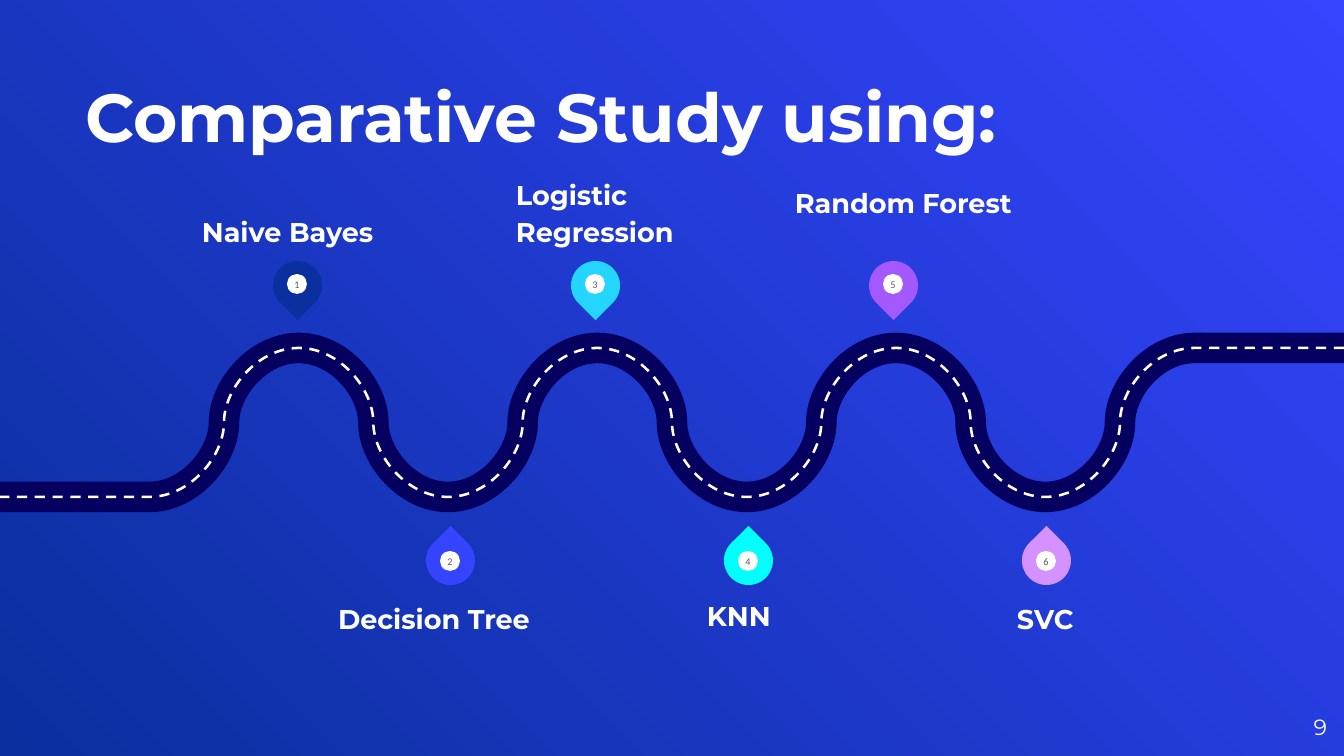
from dataclasses import dataclass

from pptx import Presentation
from pptx.dml.color import RGBColor
from pptx.enum.dml import MSO_LINE
from pptx.enum.shapes import MSO_SHAPE
from pptx.enum.text import MSO_ANCHOR, MSO_AUTO_SIZE, PP_ALIGN
from pptx.oxml.ns import qn
from pptx.shapes.autoshape import Shape
from pptx.slide import Slide
from pptx.text.text import TextFrame
from pptx.util import Emu, Pt

EMU_PER_PX = 7495
SLIDE_WIDTH, SLIDE_HEIGHT = 1344, 756
ROAD_TOP, ROAD_BOTTOM = 348, 497
ROAD_SECTIONS = 9
ARC_HANDLE = 0.55
PIN_SIZE, DOT_SIZE = 49, 20


@dataclass(frozen=True)
class Theme:
    heading_font: str = "Montserrat"
    number_font: str = "Calibri"
    title_size: float = 40
    label_size: float = 16
    page_size: float = 13
    number_size: float = 6
    road_width: float = 18
    marking_width: float = 1.5
    white: str = "FFFFFF"
    number: str = "585963"
    road: str = "050060"
    background_start: str = "3544FF"
    background_end: str = "0A2F9E"


@dataclass(frozen=True)
class Box:
    left: int
    top: int
    width: int
    height: int

    def emu(self) -> tuple[Emu, Emu, Emu, Emu]:
        return px(self.left), px(self.top), px(self.width), px(self.height)


@dataclass(frozen=True)
class Side:
    first_center: int
    pin_top: int
    dot_top: int
    rotation: int


@dataclass(frozen=True)
class Stop:
    name: str
    color: str
    label: Box
    anchor: MSO_ANCHOR


THEME = Theme()
STOP_PITCH = 298
ABOVE = Side(297, 261, 274, 135)
BELOW = Side(450, 536, 551, 315)
STOPS = [
    Stop("Naive Bayes", "0A2F9E", Box(202, 170, 217, 78), MSO_ANCHOR.BOTTOM),
    Stop("Decision Tree", "3544FF", Box(338, 598, 231, 78), MSO_ANCHOR.TOP),
    Stop("Logistic Regression", "24D6FF", Box(516, 170, 171, 78), MSO_ANCHOR.BOTTOM),
    Stop("KNN", "00FFFF", Box(707, 595, 189, 78), MSO_ANCHOR.TOP),
    Stop("Random Forest", "A458FF", Box(795, 182, 266, 38), MSO_ANCHOR.TOP),
    Stop("SVC", "D392FF", Box(1017, 598, 189, 78), MSO_ANCHOR.TOP),
]


def px(length: float) -> Emu:
    return Emu(round(length * EMU_PER_PX))


def rgb(color: str) -> RGBColor:
    return RGBColor.from_string(color)


def write_text(frame: TextFrame, text: str, size: float, anchor: MSO_ANCHOR,
               align: PP_ALIGN = PP_ALIGN.LEFT, font: str = THEME.heading_font,
               color: str = THEME.white, bold: bool = False) -> None:
    frame.word_wrap = True
    frame.auto_size = MSO_AUTO_SIZE.NONE
    frame.vertical_anchor = anchor
    frame.margin_left = frame.margin_right = 0
    frame.margin_top = frame.margin_bottom = 0
    paragraph = frame.paragraphs[0]
    paragraph.alignment = align
    if bold:
        paragraph.line_spacing = 1.15
        paragraph.space_before = Pt(6)
    run = paragraph.add_run()
    run.text = text
    run.font.name = font
    run.font.size = Pt(size)
    run.font.bold = bold
    run.font.color.rgb = rgb(color)


def paint_background(slide: Slide) -> None:
    fill = slide.background.fill
    fill.gradient()
    fill.gradient_angle = 225
    colors = THEME.background_start, THEME.background_end
    for position, (stop, color) in enumerate(zip(fill.gradient_stops, colors)):
        stop.position = position
        stop.color.rgb = rgb(color)


def add_title(slide: Slide, text: str) -> None:
    title = slide.shapes.title
    title.left, title.top, title.width, title.height = Box(85, 30, 1249, 126).emu()
    write_text(title.text_frame, text, THEME.title_size, MSO_ANCHOR.BOTTOM, bold=True)


def road_points() -> list[tuple[Emu, Emu]]:
    pitch = SLIDE_WIDTH / ROAD_SECTIONS
    handle = ARC_HANDLE * pitch / 2
    middle = (ROAD_TOP + ROAD_BOTTOM) / 2
    points = [(SLIDE_WIDTH, ROAD_TOP), (SLIDE_WIDTH - pitch, ROAD_TOP)]
    for bend in range(ROAD_SECTIONS - 1, 1, -1):
        start, end = bend * pitch, (bend - 1) * pitch
        center = (start + end) / 2
        start_y, end_y = (ROAD_BOTTOM, ROAD_TOP) if bend % 2 else (ROAD_TOP, ROAD_BOTTOM)
        points += [
            (start - handle, start_y),
            (center, middle + (start_y - middle) * (1 - ARC_HANDLE)),
            (center, middle),
            (center, middle + (end_y - middle) * (1 - ARC_HANDLE)),
            (end + handle, end_y),
            (end, end_y),
        ]
    points.append((0, ROAD_BOTTOM))
    return [(px(x), px(y)) for x, y in points]


def round_bends(line: Shape) -> None:
    segments = list(line.element.iter(qn("a:lnTo")))[1:-1]
    for curve, *rest in zip(segments[::3], segments[1::3], segments[2::3]):
        curve.tag = qn("a:cubicBezTo")
        for segment in rest:
            curve.append(segment[0])
            segment.getparent().remove(segment)


def add_road_line(slide: Slide, color: str, width: float) -> Shape:
    start, *others = road_points()
    builder = slide.shapes.build_freeform(*start)
    builder.add_line_segments(others, close=False)
    line = builder.convert_to_shape()
    round_bends(line)
    line.shadow.inherit = False
    line.fill.background()
    line.line.color.rgb = rgb(color)
    line.line.width = Pt(width)
    return line


def add_stop(slide: Slide, index: int, stop: Stop) -> None:
    side = BELOW if index % 2 else ABOVE
    center = side.first_center + index // 2 * STOP_PITCH
    marker = slide.shapes.add_group_shape()
    pin_box = Box(center - PIN_SIZE // 2, side.pin_top, PIN_SIZE, PIN_SIZE)
    dot_box = Box(center - DOT_SIZE // 2, side.dot_top, DOT_SIZE, DOT_SIZE)
    pin = marker.shapes.add_shape(MSO_SHAPE.TEAR, *pin_box.emu())
    pin.rotation = side.rotation
    dot = marker.shapes.add_shape(MSO_SHAPE.OVAL, *dot_box.emu())
    for shape, color in ((pin, stop.color), (dot, THEME.white)):
        shape.shadow.inherit = False
        shape.fill.solid()
        shape.fill.fore_color.rgb = rgb(color)
        shape.line.fill.background()
    write_text(dot.text_frame, str(index + 1), THEME.number_size, MSO_ANCHOR.MIDDLE,
               PP_ALIGN.CENTER, THEME.number_font, THEME.number)
    label = slide.shapes.add_textbox(*stop.label.emu())
    write_text(label.text_frame, stop.name, THEME.label_size, stop.anchor, bold=True)


def main() -> None:
    presentation = Presentation()
    presentation.slide_width = px(SLIDE_WIDTH)
    presentation.slide_height = px(SLIDE_HEIGHT)
    slide = presentation.slides.add_slide(presentation.slide_layouts[5])
    paint_background(slide)
    add_title(slide, "Comparative Study using:")
    page = slide.shapes.add_textbox(*Box(1247, 698, 80, 57).emu())
    write_text(page.text_frame, "9", THEME.page_size, MSO_ANCHOR.MIDDLE, PP_ALIGN.RIGHT)
    add_road_line(slide, THEME.road, THEME.road_width)
    marking = add_road_line(slide, THEME.white, THEME.marking_width)
    marking.line.dash_style = MSO_LINE.DASH
    for index, stop in enumerate(STOPS):
        add_stop(slide, index, stop)
    presentation.save("out.pptx")


if __name__ == "__main__":
    main()
